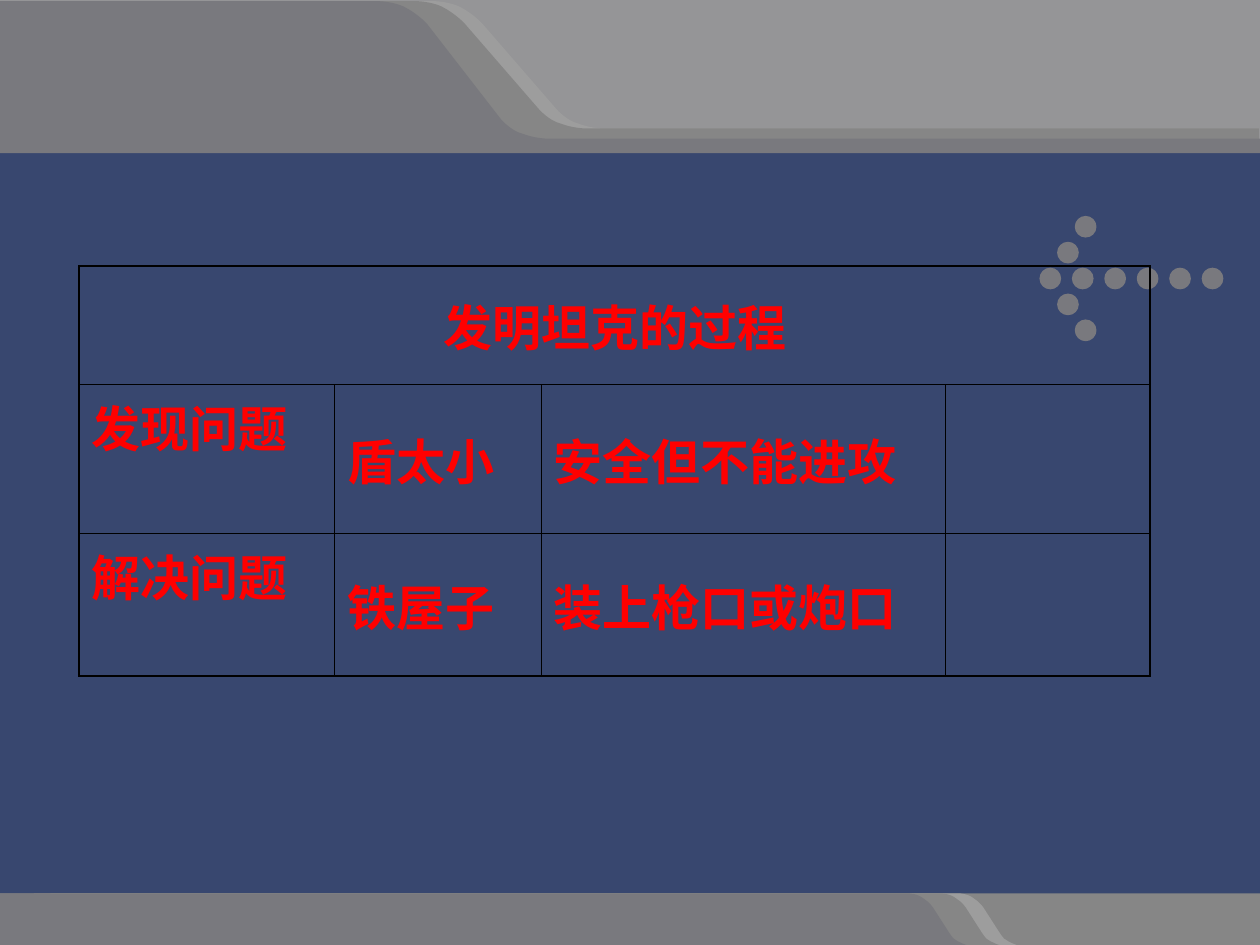
import pptx
import pptx.dml.color
import pptx.enum.shapes
import pptx.enum.text
import pptx.oxml
import pptx.oxml.ns
import pptx.util

Pt = pptx.util.Pt
RGBColor = pptx.dml.color.RGBColor
qn = pptx.oxml.ns.qn

NAVY = RGBColor(0x38, 0x47, 0x6F)
DARK_GREY = RGBColor(0x79, 0x79, 0x7E)
MID_GREY = RGBColor(0x86, 0x86, 0x86)
STEEL = RGBColor(0x95, 0x95, 0x97)
LIGHT_GREY = RGBColor(0x9D, 0x9D, 0x9D)
RED = RGBColor(0xFF, 0x00, 0x00)
BLACK = RGBColor(0x00, 0x00, 0x00)

WIDTH, HEIGHT = 720, 540
FOOT_TOP = 510.5
UNITS = 100
ROUNDNESS = 0.55
THIN, THICK = 0.45, 1.08
COLUMNS = [146, 118, 231, 117]
ROWS = [67.7, 85.2, 81.4]
CELLS = [
    ["发明坦克的过程", "", "", ""],
    ["发现问题", "盾太小", "安全但不能进攻", ""],
    ["解决问题", "铁屋子", "装上枪口或炮口", ""],
]


def paint(sp, color):
    sp.shadow.inherit = False
    sp.fill.solid()
    sp.fill.fore_color.rgb = color
    sp.line.fill.background()


def add_rect(s, left, top, width, height, color):
    sp = s.shapes.add_shape(pptx.enum.shapes.MSO_SHAPE.RECTANGLE,
                            Pt(left), Pt(top), Pt(width), Pt(height))
    paint(sp, color)


def bend_segments(sp):
    path = sp._element.find(".//" + qn("a:path"))
    lines = path.findall(qn("a:lnTo"))
    for triple in zip(lines[::3], lines[1::3], lines[2::3]):
        bezier = pptx.oxml.parse_xml(f'<a:cubicBezTo {pptx.oxml.ns.nsdecls("a")}/>')
        triple[0].addprevious(bezier)
        for line in triple:
            bezier.append(line[0])
            path.remove(line)


def add_curved_shape(s, contours, color):
    fb = None
    for contour in contours:
        start, *points = [(x * UNITS, y * UNITS) for x, y in contour]
        if fb is None:
            fb = s.shapes.build_freeform(*start, scale=Pt(1) / UNITS)
        else:
            fb.move_to(*start)
        fb.add_line_segments(points, close=False)
    sp = fb.convert_to_shape()
    bend_segments(sp)
    paint(sp, color)


def straight(*points):
    return [p for p in points for _ in range(3)]


def add_header_band(s, left, x, right, bottom, drop, color):
    start, crest, shoulder = (x, 0.7), (x + 17.3, 3.6), (x + 31, 13.7)
    knee, bend, end = [(x + dx, y + drop) for dx, y in
                       ((73.4, 62.6), (85.5, 70.6), (103.7, 73.4))]
    contour = [(right, bottom)]
    contour += straight((left, bottom), (left, 0.7), start)
    contour += [start, (x + 8.6, 0), crest]
    contour += [(x + 25.9, 7.9), shoulder, shoulder]
    contour += straight(knee)
    contour += [knee, (x + 79.2, 69.1 + drop), bend]
    contour += [(x + 95, 74.2 + drop), end, end]
    contour += straight((right, 73.4 + drop), (right, bottom))
    add_curved_shape(s, [contour], color)


def add_footer_band(s, left, x, color):
    def at(dx, dy):
        return x + dx, FOOT_TOP + dy

    start, shoulder, knee, end = at(0, 0), at(14.4, 8.6), at(22.3, 20.9), at(33.1, 29.5)
    contour = [shoulder]
    contour += straight(knee)
    contour += [knee, at(24.5, 24.5), at(25.9, 25.9)]
    contour += [at(28.8, 28.1), end, end]
    contour += straight((left, HEIGHT), (left, FOOT_TOP), start)
    contour += [start, at(5, 0), at(8.6, 2.9)]
    contour += [at(12.2, 5), shoulder, shoulder]
    add_curved_shape(s, [contour], color)


def dot(x, y, radius):
    contour = [(x + radius, y)]
    for dx, dy in ((1, 0), (0, 1), (-1, 0), (0, -1)):
        for along, across in ((1, ROUNDNESS), (ROUNDNESS, 1), (0, 1)):
            contour.append((x + radius * (along * dx - across * dy),
                            y + radius * (along * dy + across * dx)))
    return contour


def add_dot_arrow(s, x, y, radius, color):
    centers = [(x + 18.54 * i, y) for i in range(6)]
    centers += [(x + 10.1 * i, y + 14.8 * i * side) for i in (1, 2) for side in (-1, 1)]
    add_curved_shape(s, [dot(cx, cy, radius) for cx, cy in centers], color)


def set_borders(cell, widths):
    tcPr = cell._tc.get_or_add_tcPr()
    for i, (side, width) in enumerate(zip("LRTB", widths)):
        tcPr.insert(i, pptx.oxml.parse_xml(
            f'<a:ln{side} {pptx.oxml.ns.nsdecls("a")} w="{Pt(width)}">'
            f'<a:solidFill><a:srgbClr val="{BLACK}"/></a:solidFill></a:ln{side}>'))


def fill_cell(cell, text, anchor, align):
    cell.fill.background()
    cell.vertical_anchor = anchor
    cell.text_frame.text = text
    p = cell.text_frame.paragraphs[0]
    p.alignment = align
    for r in p.runs:
        r.font.name = "Arial"
        r.font.size = Pt(28)
        r.font.bold = True
        r.font.color.rgb = RED


def add_process_table(s, left, top):
    anchors, aligns = pptx.enum.text.MSO_ANCHOR, pptx.enum.text.PP_ALIGN
    table = s.shapes.add_table(len(ROWS), len(COLUMNS), Pt(left), Pt(top),
                               Pt(sum(COLUMNS)), Pt(sum(ROWS))).table
    table.first_row = table.horz_banding = False
    for column, width in zip(table.columns, COLUMNS):
        column.width = Pt(width)
    for row, height in zip(table.rows, ROWS):
        row.height = Pt(height)
    table.cell(0, 0).merge(table.cell(0, len(COLUMNS) - 1))
    for i, texts in enumerate(CELLS):
        for j, text in enumerate(texts):
            label = i > 0 and j == 0
            fill_cell(table.cell(i, j), text,
                      anchors.TOP if label else anchors.MIDDLE,
                      aligns.LEFT if i else aligns.CENTER)
            outer = (j == 0 or i == 0, j == len(COLUMNS) - 1 or i == 0,
                     i == 0, i == len(ROWS) - 1)
            set_borders(table.cell(i, j), [THICK if edge else THIN for edge in outer])


def main():
    prs = pptx.Presentation()
    prs.slide_width, prs.slide_height = Pt(WIDTH), Pt(HEIGHT)
    s = prs.slides.add_slide(prs.slide_layouts[6])
    add_rect(s, 0, 0.7, WIDTH, HEIGHT - 0.7, NAVY)
    add_rect(s, 0, FOOT_TOP, WIDTH, HEIGHT - FOOT_TOP, MID_GREY)
    add_rect(s, 0, 0, WIDTH, 80, STEEL)
    add_footer_band(s, 28.8, 547.9, LIGHT_GREY)
    add_header_band(s, 32.4, 244.8, 719.3, 80, 0, LIGHT_GREY)
    add_dot_arrow(s, 600.2, 159.2, 6.2, DARK_GREY)
    add_header_band(s, 22.3, 234.7, 719.3, 80, 0, MID_GREY)
    add_footer_band(s, 19.4, 537.8, MID_GREY)
    add_header_band(s, 0, 213.1, WIDTH, 87.5, 5.8, DARK_GREY)
    add_footer_band(s, 0, 519.1, DARK_GREY)
    add_process_table(s, 45.3, 152)
    prs.save("out.pptx")


if __name__ == "__main__":
    main()
